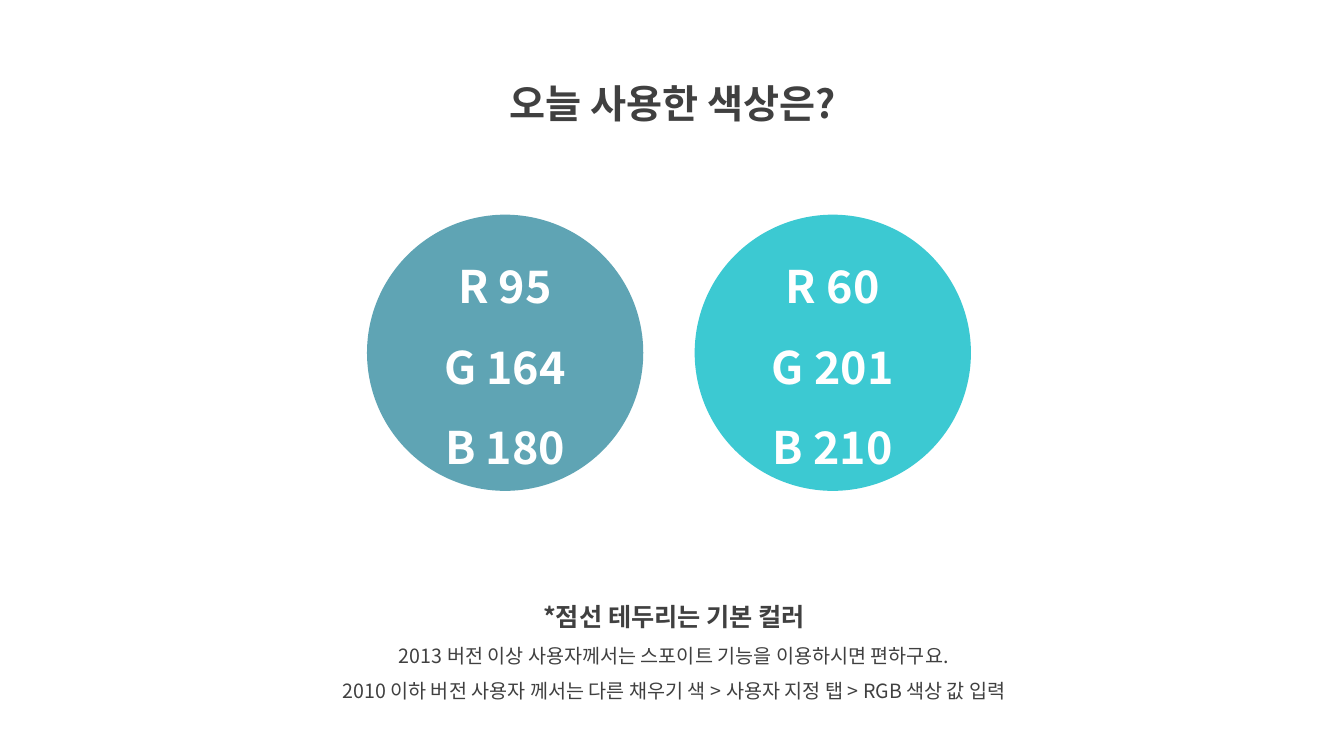
from dataclasses import dataclass

from lxml.etree import SubElement
from pptx import Presentation
from pptx.dml.color import RGBColor
from pptx.enum.shapes import MSO_SHAPE
from pptx.enum.text import MSO_ANCHOR, MSO_AUTO_SIZE, PP_ALIGN
from pptx.oxml.ns import qn
from pptx.util import Inches, Pt


@dataclass(frozen=True)
class Theme:
    """Colours, font and type sizes of the slide."""
    font: str = "Noto Sans CJK KR"
    ink: RGBColor = RGBColor(64, 64, 64)
    white: RGBColor = RGBColor(255, 255, 255)
    title: int = 28
    swatch: int = 32
    heading: int = 18
    body: int = 14
    line_spacing: float = 1.5


THEME = Theme()
SWATCHES = [(95, 164, 180), (60, 201, 210)]
NOTES = [
    "2013 버전 이상 사용자께서는 스포이트 기능을 이용하시면 편하구요.",
    "2010 이하 버전 사용자 께서는 다른 채우기 색 > 사용자 지정 탭 > RGB 색상 값 입력",
]


def write_line(frame, text, *, size, color=THEME.ink, bold=False):
    """Add a centred line of text to a frame, filling its first paragraph if empty."""
    first = frame.paragraphs[0]
    line = frame.add_paragraph() if first.runs else first
    line.alignment = PP_ALIGN.CENTER
    line.line_spacing = THEME.line_spacing
    words = line.add_run()
    words.text = text
    words.font.name = THEME.font
    words.font.size = Pt(size)
    words.font.bold = bold
    words.font.color.rgb = color
    SubElement(words.font._element, qn("a:ea"), typeface=THEME.font)


def add_text_area(slide, box):
    """Add a wrapping text box that grows with its text and return its frame."""
    frame = slide.shapes.add_textbox(*map(Inches, box)).text_frame
    frame.word_wrap = True
    frame.auto_size = MSO_AUTO_SIZE.SHAPE_TO_FIT_TEXT
    return frame


def add_title(slide, box):
    """Place the slide title."""
    write_line(add_text_area(slide, box), "오늘 사용한 색상은?", size=THEME.title, bold=True)


def add_swatches(slide, box):
    """Spread one colour circle per RGB value across the box."""
    left, top, width, diameter = box
    step = (width - diameter) / (len(SWATCHES) - 1)
    for index, rgb in enumerate(SWATCHES):
        place = (left + index * step, top, diameter, diameter)
        circle = slide.shapes.add_shape(MSO_SHAPE.OVAL, *map(Inches, place))
        circle.shadow.inherit = False
        circle.fill.solid()
        circle.fill.fore_color.rgb = RGBColor(*rgb)
        circle.line.fill.background()
        circle.text_frame.vertical_anchor = MSO_ANCHOR.MIDDLE
        for channel, value in zip("RGB", rgb):
            write_line(circle.text_frame, f"{channel} {value}",
                       size=THEME.swatch, color=THEME.white, bold=True)


def add_notes_on_use(slide, box):
    """Place the heading and the hints on applying the colours."""
    frame = add_text_area(slide, box)
    write_line(frame, "*점선 테두리는 기본 컬러", size=THEME.heading, bold=True)
    for note in NOTES:
        write_line(frame, note, size=THEME.body)


def main():
    """Build the colour slide and save it."""
    deck = Presentation()
    deck.slide_width, deck.slide_height = Inches(13.33), Inches(7.5)
    slide = deck.slides.add_slide(deck.slide_layouts[6])
    add_title(slide, (4.36, 0.5, 4.63, 0.72))
    add_notes_on_use(slide, (2.69, 5.77, 7.99, 1.26))
    add_swatches(slide, (3.64, 2.13, 5.99, 2.74))
    deck.save("out.pptx")


if __name__ == "__main__":
    main()
